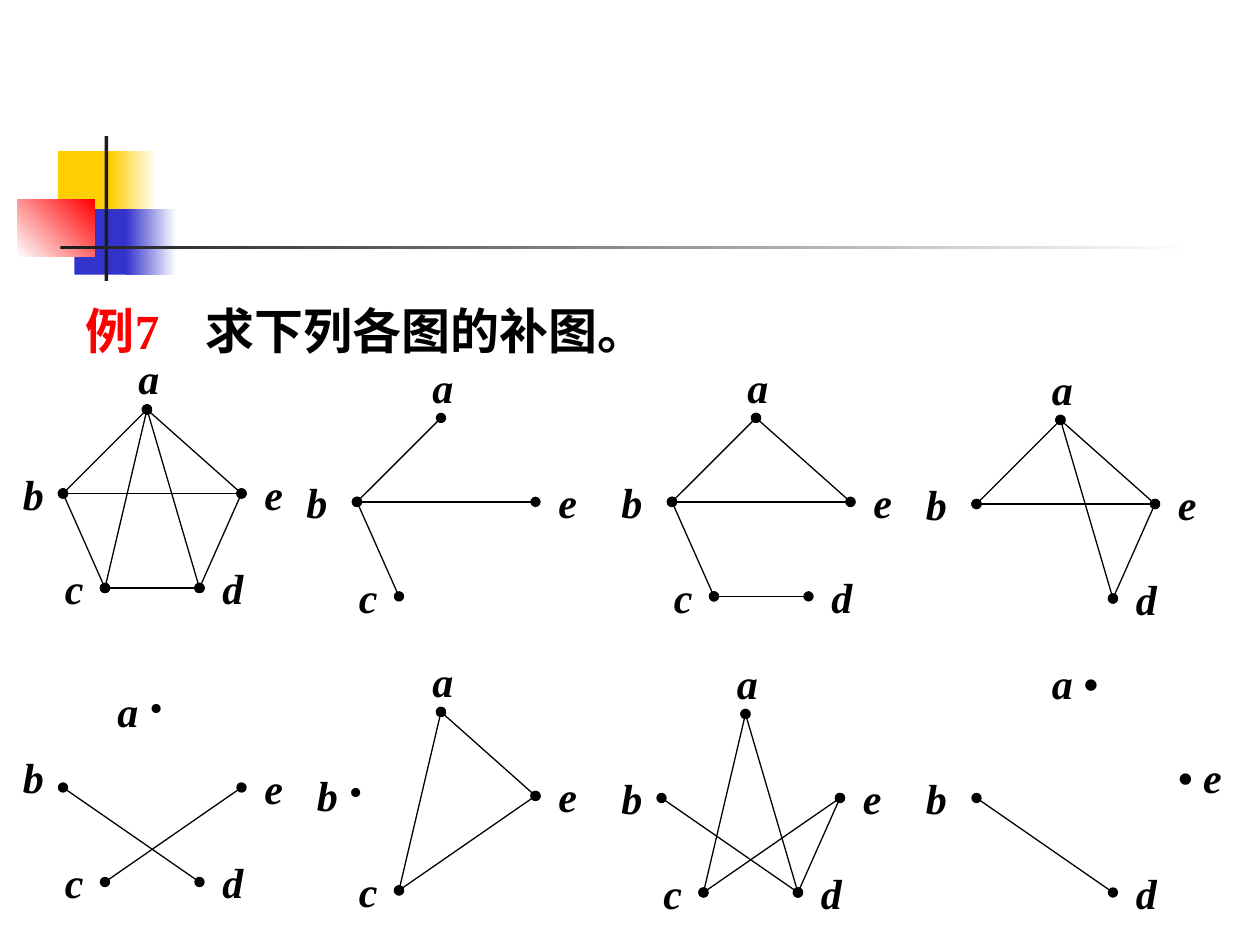
import pptx
import pptx.dml.color
import pptx.enum.shapes
import pptx.enum.text
import pptx.oxml
import pptx.oxml.ns
import pptx.util

U = pptx.util.Inches(1) / 12  # grid step: 12 columns and 12 rows to the inch
NS = pptx.oxml.ns.nsdecls("a")
FONT = {"name": "Times New Roman", "bold": True}


def rgb(value):
    return pptx.dml.color.RGBColor.from_string(value)


def add_text(shapes, col, row, cols, rows, runs):
    """Add a one-paragraph text box; runs are (text, size, colour, italic)."""
    sp = shapes.add_textbox(*(round(v * U) for v in (col, row, cols, rows)))
    tf = sp.text_frame
    tf.word_wrap = True
    tf.auto_size = pptx.enum.text.MSO_AUTO_SIZE.SHAPE_TO_FIT_TEXT
    p = tf.paragraphs[0]
    for text, size, color, italic in runs:
        r = p.add_run()
        r.text = text
        for key, value in {**FONT, "size": pptx.util.Pt(size), "italic": italic}.items():
            setattr(r.font, key, value)
        r.font.color.rgb = rgb(color)
    return p


prs = pptx.Presentation()
prs.slide_width, prs.slide_height = pptx.util.Inches(10), pptx.util.Inches(7.5)
s = prs.slides.add_slide(prs.slide_layouts[6])

# Corner ornament: left, top, width, height in inches, colours, gradient angle
ornament = [
    (0.46, 1.2, 0.48, 0.52, ["FFCF01"], 0),
    (0.88, 1.2, 0.36, 0.52, ["FFCF01", "FFFFFF"], 0),
    (0.59, 1.66, 0.46, 0.52, ["3333CC"], 0),
    (1, 1.66, 0.4, 0.52, ["3333CC", "FFFFFF"], 0),
    (0.14, 1.58, 0.61, 0.46, ["FFFFFF", "FF0000"], 45),
    (0.83, 1.08, 0.03, 1.15, ["1C1C1C"], 0),
    (0.48, 1.95, 9, 0.03, ["1C1C1C", "FFFFFF"], 0),
]
for *box, colors, angle in ornament:
    sp = s.shapes.add_shape(pptx.enum.shapes.MSO_SHAPE.RECTANGLE,
                            *(pptx.util.Inches(v) for v in box))
    sp.shadow.inherit = False
    sp.line.fill.background()
    if len(colors) == 1:
        sp.fill.solid()
        sp.fill.fore_color.rgb = rgb(colors[0])
    else:
        sp.fill.gradient()
        sp.fill.gradient_angle = angle
        for stop, color in zip(sp.fill.gradient_stops, colors):
            stop.color.rgb = rgb(color)

p = add_text(s.shapes, 7, 28, 99, 6.84,
             [("例7\t", 28, "FF0000", False), ("求下列各图的补图。", 28, "000000", False)])
tab = pptx.util.Inches(0.95)
p._p.get_or_add_pPr().append(pptx.oxml.parse_xml(
    f'<a:tabLst {NS}><a:tab pos="{tab}" algn="l"/></a:tabLst>'))

# Grid offsets from vertex a, shared by all graphs
vertices = {"a": (0, 0), "b": (-8, 8), "c": (-4, 17), "d": (5, 17), "e": (9, 8)}
labels = {"a": (-2, -6), "b": (-14, 5), "c": (-9, 14), "d": (6, 14), "e": (10, 5)}

# Position of a, edges, labels in the usual place,
# other labels: column, row, width, height, (text, size) pieces
graphs = [
    (14, 39, "ab ae bc ed dc ac be ad", "acde", [(-13, 5, 5, 6, [("b", 24)])]),
    (42, 39.8, "ab bc be", "abce", []),
    (72, 39.8, "ab ae bc dc be", "abcde", []),
    (101, 40, "ab ae ed be ad", "abde", []),
    (14, 67, "ec bd", "cde", [(-13, 4, 5, 6, [("b", 24)]),
                              (-4, -3.6, 10, 7.68, [("a ", 24), ("·", 32)])]),
    (42, 67.8, "ae ac ce", "ace", [(-13, 3.6, 10, 7.68, [("b ", 24), ("·", 32)])]),
    (71, 68, "bd ac ad ce de", "acde", [(-13, 5, 5, 6, [("b", 24)])]),
    (101, 68, "bd", "bd", [(-2, -6, 9, 6, [("a •", 24)]),
                           (10, 3, 9, 6, [("• e", 24)])]),
]
for col, row, edges, usual, others in graphs:
    shapes = s.shapes.add_group_shape().shapes
    for start, end in edges.split():
        ends = [round((o + v) * U) for name in (start, end)
                for o, v in zip((col, row), vertices[name])]
        cx = shapes.add_connector(pptx.enum.shapes.MSO_CONNECTOR.STRAIGHT, *ends)
        cx.line.width = pptx.util.Pt(0.75)
        cx.line.color.rgb = rgb("000000")
        ln = cx.line._get_or_add_ln()
        for tag in ("headEnd", "tailEnd"):
            ln.append(pptx.oxml.parse_xml(f'<a:{tag} {NS} type="oval"/>'))
        cx._element.spPr.append(pptx.oxml.parse_xml(f"<a:effectLst {NS}/>"))
    for dx, dy, w, h, pieces in [(*labels[n], 5, 6, [(n, 24)]) for n in usual] + others:
        add_text(shapes, col + dx, row + dy, w, h,
                 [(text, size, "000000", True) for text, size in pieces])

prs.save("out.pptx")
